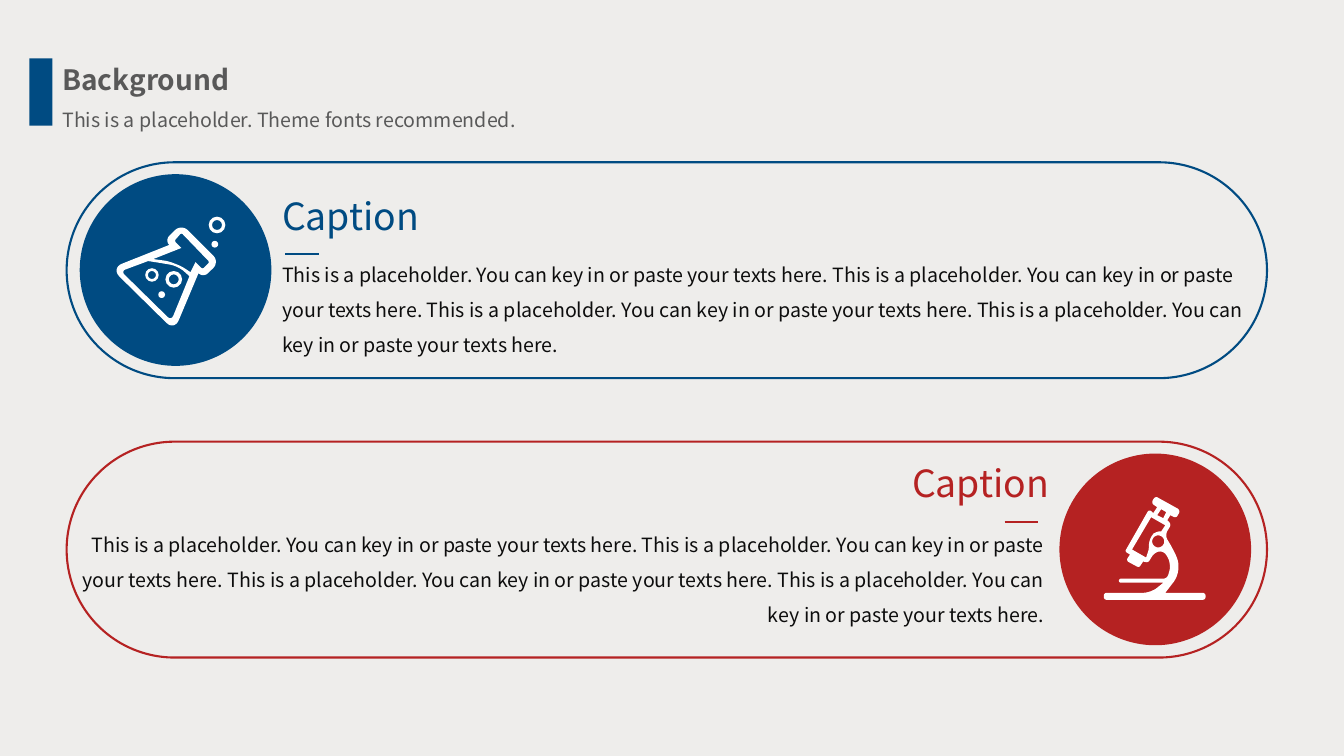
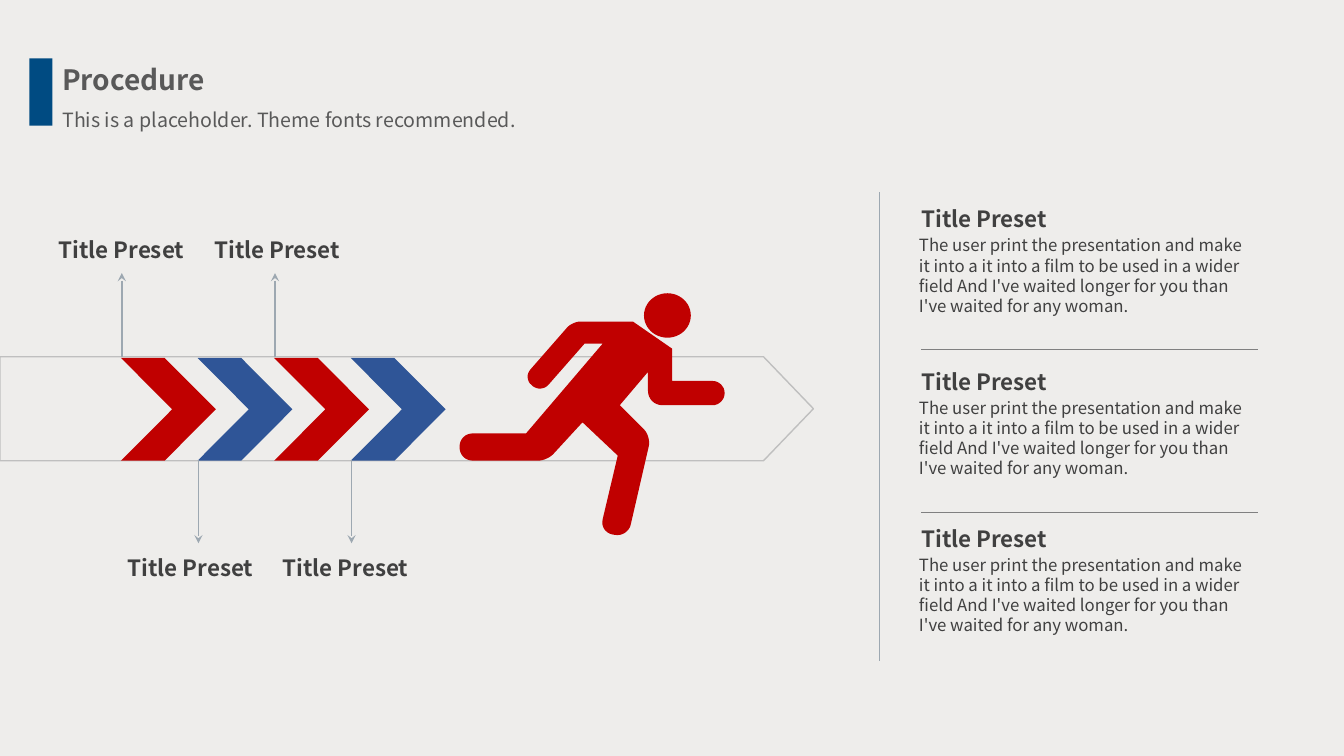
import math

import lxml.etree
import pptx
import pptx.dml.color
import pptx.enum.shapes
import pptx.enum.text
import pptx.oxml.ns
import pptx.util

Cm, Pt = pptx.util.Cm, pptx.util.Pt
qn = pptx.oxml.ns.qn
Kind = pptx.enum.shapes.MSO_SHAPE
Align = pptx.enum.text.PP_ALIGN
Anchor = pptx.enum.text.MSO_ANCHOR
STRAIGHT = pptx.enum.shapes.MSO_CONNECTOR.STRAIGHT


class Theme:
    font = "Noto Sans CJK SC"
    page, white = "EEEDEB", "FFFFFF"
    navy, brick = "004B82", "B52222"
    red, blue = "C00000", "2F5597"
    ink, dark, grey = "0D0D0D", "404040", "595959"
    edge, stem, rule = "BFBFBF", "9DA8B1", "808080"
    title, caption, label = 20, 26.7, 16
    body, small = 14, 12


def paint(item, fill=None, line=None, width=1.5):
    """Set fill and line, and take the shadow away."""
    if line:
        item.line.color.rgb = pptx.dml.color.RGBColor.from_string(line)
        item.line.width = Pt(width)
    else:
        item.line.fill.background()
    if hasattr(item, "fill"):
        if fill:
            item.fill.solid()
            item.fill.fore_color.rgb = pptx.dml.color.RGBColor.from_string(fill)
        else:
            item.fill.background()
        item.shadow.inherit = False
    else:
        lxml.etree.SubElement(item.element.spPr, qn("a:effectLst"))
    return item


def write(slide, box, text, size, color, bold=False, align=Align.LEFT,
          space=None, tight=False):
    """Add a text box; tight means no insets and centred height."""
    frame = slide.shapes.add_textbox(*map(Cm, box)).text_frame
    frame.word_wrap = True
    if tight:
        frame.margin_left = frame.margin_right = 0
        frame.margin_top = frame.margin_bottom = 0
        frame.vertical_anchor = Anchor.MIDDLE
    para = frame.paragraphs[0]
    para.text = text
    para.alignment = align
    if space:
        para.line_spacing = space
    font = para.runs[0].font
    font.name, font.size, font.bold = Theme.font, Pt(size), bold
    font.color.rgb = pptx.dml.color.RGBColor.from_string(color)


deck = pptx.Presentation()
deck.slide_width, deck.slide_height = Cm(33.87), Cm(19.05)
back = deck.slide_master.background.fill
back.solid()
back.fore_color.rgb = pptx.dml.color.RGBColor.from_string(Theme.page)

# Headers
slides = []
for title in ("Background", "Procedure"):
    slide = deck.slides.add_slide(deck.slide_layouts[6])
    slides.append(slide)
    paint(slide.shapes.add_shape(Kind.RECTANGLE, Cm(0.74), Cm(1.47), Cm(0.58), Cm(1.7)),
          Theme.navy)
    write(slide, (1.32, 1.45, 12.5, 1.12), title, Theme.title, Theme.grey, bold=True)
    write(slide, (1.32, 2.29, 16.5, 0.97),
          "This is a placeholder. Theme fonts recommended.",
          Theme.body, Theme.grey, space=1.5)
first, second = slides

# Background: two mirrored pills
filler = " ".join(
    ["This is a placeholder. You can key in or paste your texts here."] * 4)
pills = [
    # colour, top, disc left, caption box, tick left, tick top, body box, align
    (Theme.navy, 4.09, 2.01, (6.86, 4.75, 4.09, 1.4), 7.19, 6.4,
     (6.86, 6.2, 25.07, 2.77), Align.LEFT),
    (Theme.brick, 11.13, 26.7, (22.61, 11.46, 4.09, 1.4), 25.32, 13.16,
     (1.63, 13, 24.94, 2.87), Align.RIGHT),
]
for color, top, left, head, tick, level, body, align in pills:
    pill = first.shapes.add_shape(
        Kind.ROUNDED_RECTANGLE, Cm(1.68), Cm(top), Cm(30.25), Cm(5.44))
    pill.adjustments[0] = 0.5
    paint(pill, line=color)
    paint(first.shapes.add_shape(
        Kind.OVAL, Cm(left), Cm(top + 0.3), Cm(4.83), Cm(4.83)), color)
    write(first, head, "Caption", Theme.caption, color, align=align)
    paint(first.shapes.add_connector(
        STRAIGHT, Cm(tick), Cm(level), Cm(tick + 0.85), Cm(level)), line=color)
    write(first, body, filler, Theme.body, Theme.ink, align=align, space=1.5)

# Procedure: arrow band, chevrons and their labels
band = second.shapes.add_shape(Kind.PENTAGON, 0, Cm(8.99), Cm(20.5), Cm(2.62))
band.adjustments[0] = 0.48
paint(band, line=Theme.edge, width=1)
for i, mid in enumerate((3.06, 4.8, 6.99, 8.71)):
    odd = i % 2
    step = 1.93 * i
    mark = second.shapes.add_shape(
        Kind.CHEVRON, Cm(3.05 + step), Cm(9.02), Cm(2.39), Cm(2.59))
    mark.adjustments[0] = 0.54
    paint(mark, Theme.blue if odd else Theme.red)
    tip, root, level = (13.69, 11.58, 13.49) if odd else (6.88, 8.99, 5.49)
    stem = paint(second.shapes.add_connector(
        STRAIGHT, Cm(3.07 + step), Cm(tip), Cm(3.07 + step), Cm(root)),
        line=Theme.stem, width=1)
    lxml.etree.SubElement(
        stem.element.spPr.find(qn("a:ln")), qn("a:headEnd"), type="stealth")
    write(second, (mid - 1.74, level, 3.48, 1.62), "Title Preset", Theme.label,
          Theme.dark, bold=True, align=Align.CENTER, tight=True)

# Procedure: notes on the right
paint(second.shapes.add_connector(
    STRAIGHT, Cm(22.17), Cm(4.85), Cm(22.17), Cm(16.66)), line=Theme.stem, width=1)
for top in (5.21, 9.3, 13.26):
    write(second, (23.22, top, 6.6, 0.61), "Title Preset", Theme.label,
          Theme.dark, bold=True, tight=True)
    write(second, (22.91, top + 0.59, 8.94, 2.31),
          "The user print the presentation and make it into a it into a film "
          "to be used in a wider field And I've waited longer for you than "
          "I've waited for any woman.", Theme.small, Theme.dark)
for level in (8.81, 12.9):
    paint(second.shapes.add_connector(
        STRAIGHT, Cm(23.22), Cm(level), Cm(31.7), Cm(level)),
        line=Theme.rule, width=0.25)

# Icons: closed outlines of (x, y) or (x, y, corner radius) on a fine grid
UNIT = Cm(2.54) / 100
FINE = 10
flask = [
    [(80, 22, 9), (118, 60, 9), (101, 76, 7), (97, 71), (73, 128, 11),
     (10, 66, 12), (68, 43), (63, 39, 7)],
    [(108, 60, 2), (101, 67, 2), (94, 60), (89, 70), (74, 60, 12), (52, 57),
     (80, 46), (73, 39, 2), (80, 31, 2)],
    [(88, 74), (70, 118, 5), (20, 69, 5), (47, 59), (60, 61, 6), (77, 64, 8)],
]
scope = [
    [(5, 98, 3), (52, 98, 8), (64, 88), (20, 88, 2), (20, 84, 2), (68, 84, 4),
     (72, 69, 7), (65, 57, 4), (56, 57, 5), (49, 68, 2), (44, 67), (40, 73, 2),
     (27, 66, 3), (31, 60), (26, 57, 2), (50, 15, 3), (54, 19), (58, 13),
     (52, 9, 3), (56, 2, 3), (81, 16, 3), (77, 24, 3), (71, 21), (68, 26),
     (72, 30, 3), (66, 40, 4), (68, 45), (74, 55, 6), (83, 76, 14), (66, 98),
     (106, 98, 3), (106, 105, 3), (5, 105, 3)],
    [(52, 23), (33, 55), (47, 63), (50, 54, 3), (49, 44, 8), (57, 37, 4),
     (62, 37), (66, 31)],
    [(53, 41, 6), (65, 41, 6), (65, 53, 6), (53, 53, 6)],
    [(64, 24), (67, 18), (62, 15), (58, 21)],
]
runner = [
    [(6, 130, 13), (72, 130), (148, 41), (130, 41), (87, 90, 11), (69, 75, 11),
     (118, 19, 8), (178, 19), (217, 46), (217, 78), (269, 78, 12),
     (269, 102, 12), (193, 102, 14), (193, 69), (165, 102), (196, 133, 10),
     (173, 233, 13), (145, 228, 13), (163, 152), (128, 119), (93, 157, 9),
     (6, 157, 13)],
]
icons = [
    (first, flask, 2.54, 5.08, Theme.white),
    (first, scope, 27.69, 12.45, Theme.white),
    (second, runner, 11.43, 7.62, Theme.red),
]
for slide, loops, left, top, color in icons:
    pen = None
    for loop in loops:
        dots = []
        for i, (x, y, *rest) in enumerate(loop):
            if not rest:
                dots.append((x * FINE, y * FINE))
                continue
            ends = []
            for near in (loop[i - 1], loop[(i + 1) % len(loop)]):
                dx, dy = near[0] - x, near[1] - y
                pull = rest[0] / math.hypot(dx, dy)
                ends.append((dx * pull, dy * pull))
            (ax, ay), (bx, by) = ends
            for k in range(9):
                t = k / 8
                u = 1 - t
                a = u ** 3 + 1.35 * u * u * t
                b = t ** 3 + 1.35 * t * t * u
                dots.append(((x + a * ax + b * bx) * FINE,
                             (y + a * ay + b * by) * FINE))
        if pen is None:
            pen = slide.shapes.build_freeform(*dots[0], scale=UNIT / FINE)
        else:
            pen.move_to(*dots[0])
        pen.add_line_segments(dots[1:], close=True)
    paint(pen.convert_to_shape(Cm(left), Cm(top)), color)

# Round parts: flask bubbles and the runner's head
rounds = [
    (first, Kind.DONUT, 4.17, 6.83, 0.42, 0.42, Theme.white),
    (first, Kind.DONUT, 5.26, 5.46, 0.42, 0.42, Theme.white),
    (first, Kind.DONUT, 3.66, 6.76, 0.34, 0.34, Theme.white),
    (first, Kind.OVAL, 3.99, 7.34, 0.17, 0.17, Theme.white),
    (first, Kind.OVAL, 5.33, 6.07, 0.17, 0.17, Theme.white),
    (second, Kind.OVAL, 16.23, 7.39, 1.18, 1.12, Theme.red),
]
for slide, kind, left, top, wide, high, color in rounds:
    ball = slide.shapes.add_shape(kind, Cm(left), Cm(top), Cm(wide), Cm(high))
    if kind == Kind.DONUT:
        ball.adjustments[0] = 0.2
    paint(ball, color)

deck.save("out.pptx")
